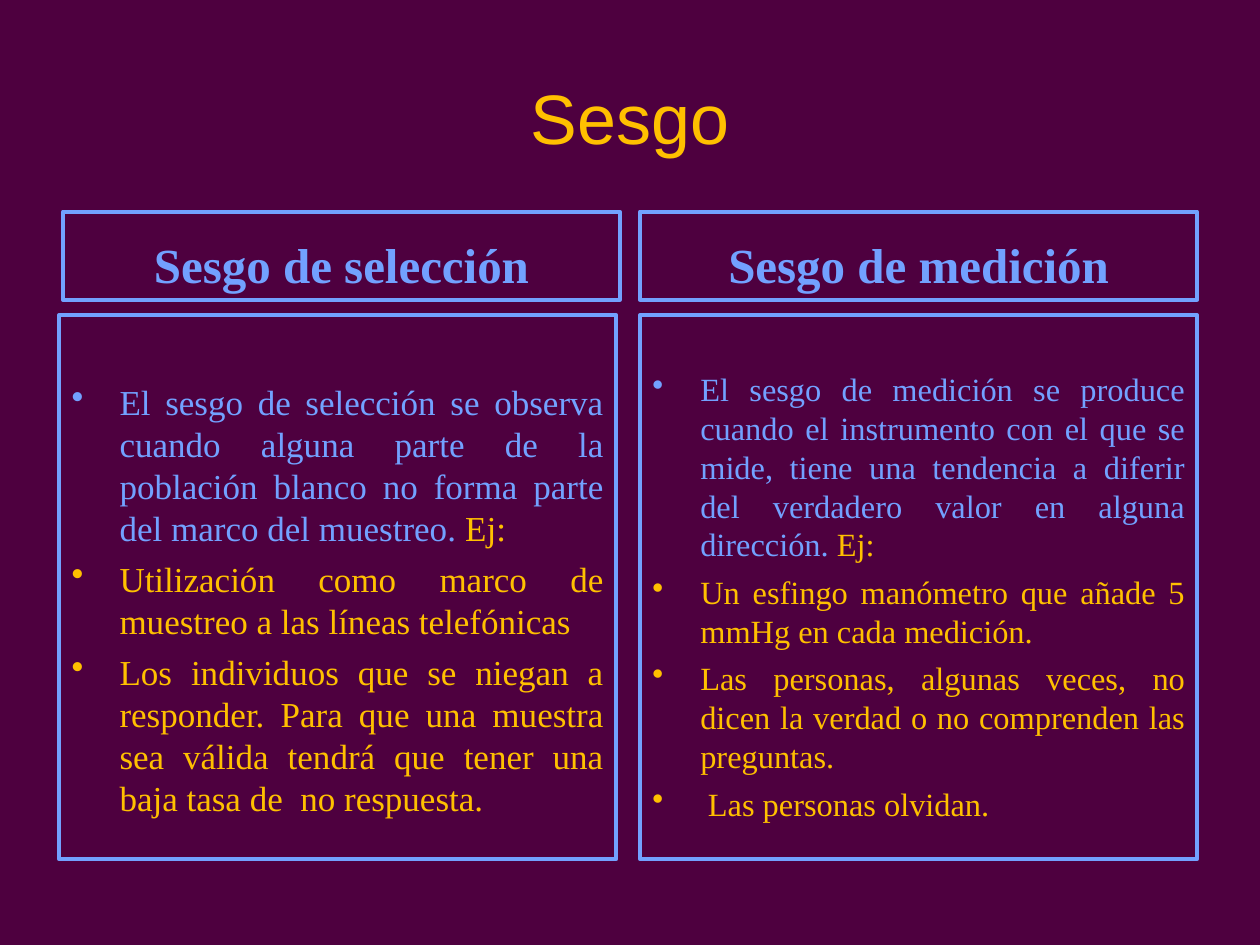
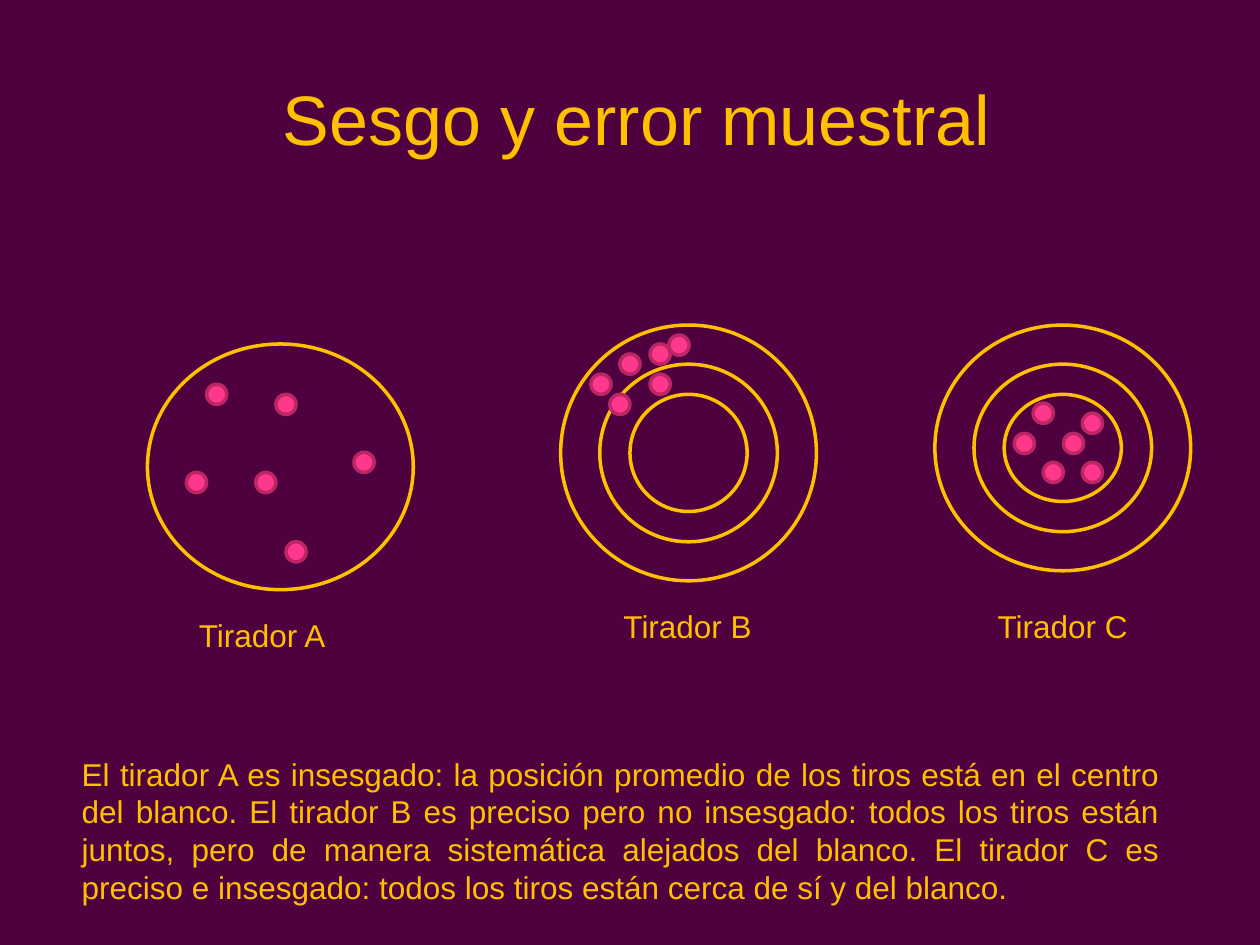
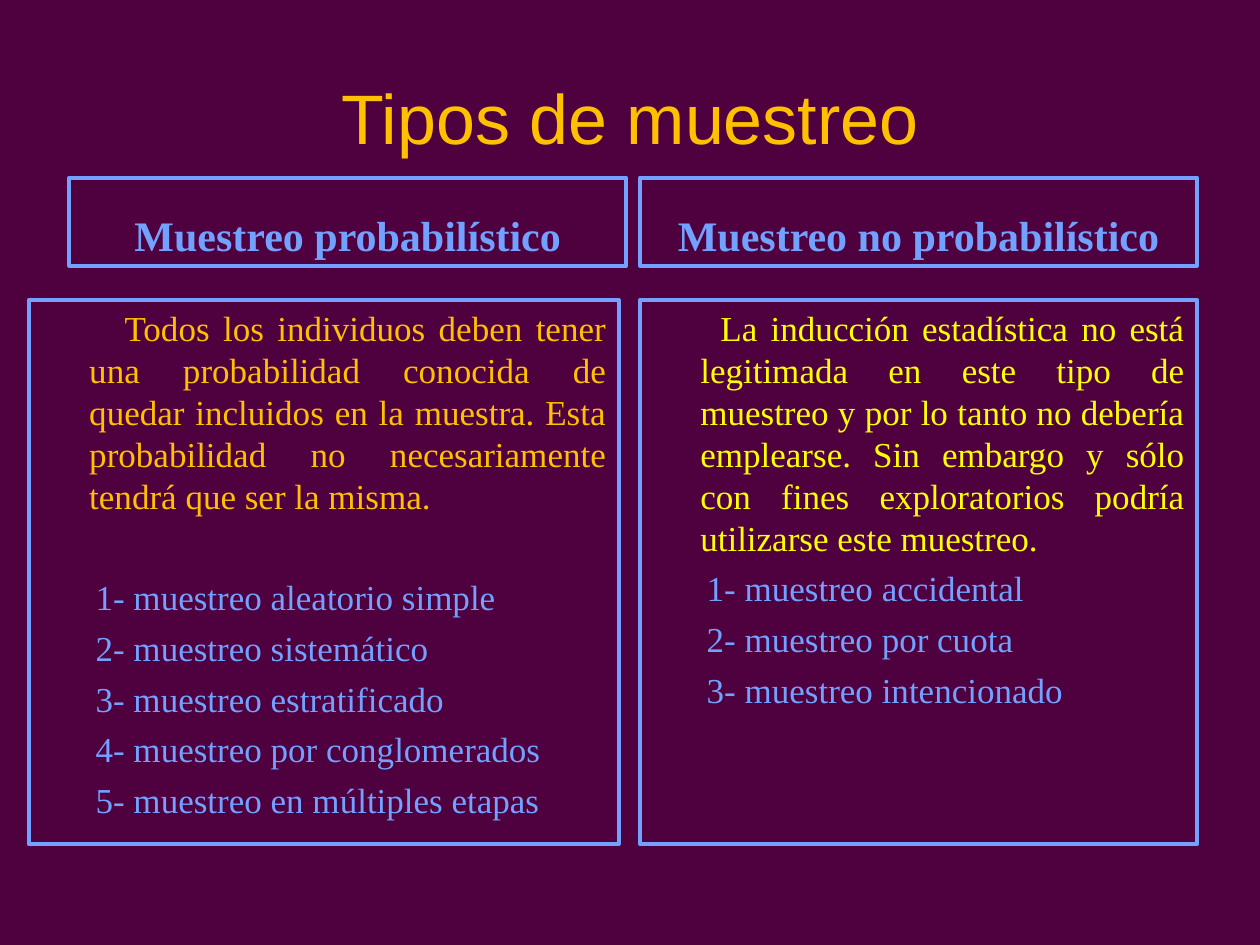
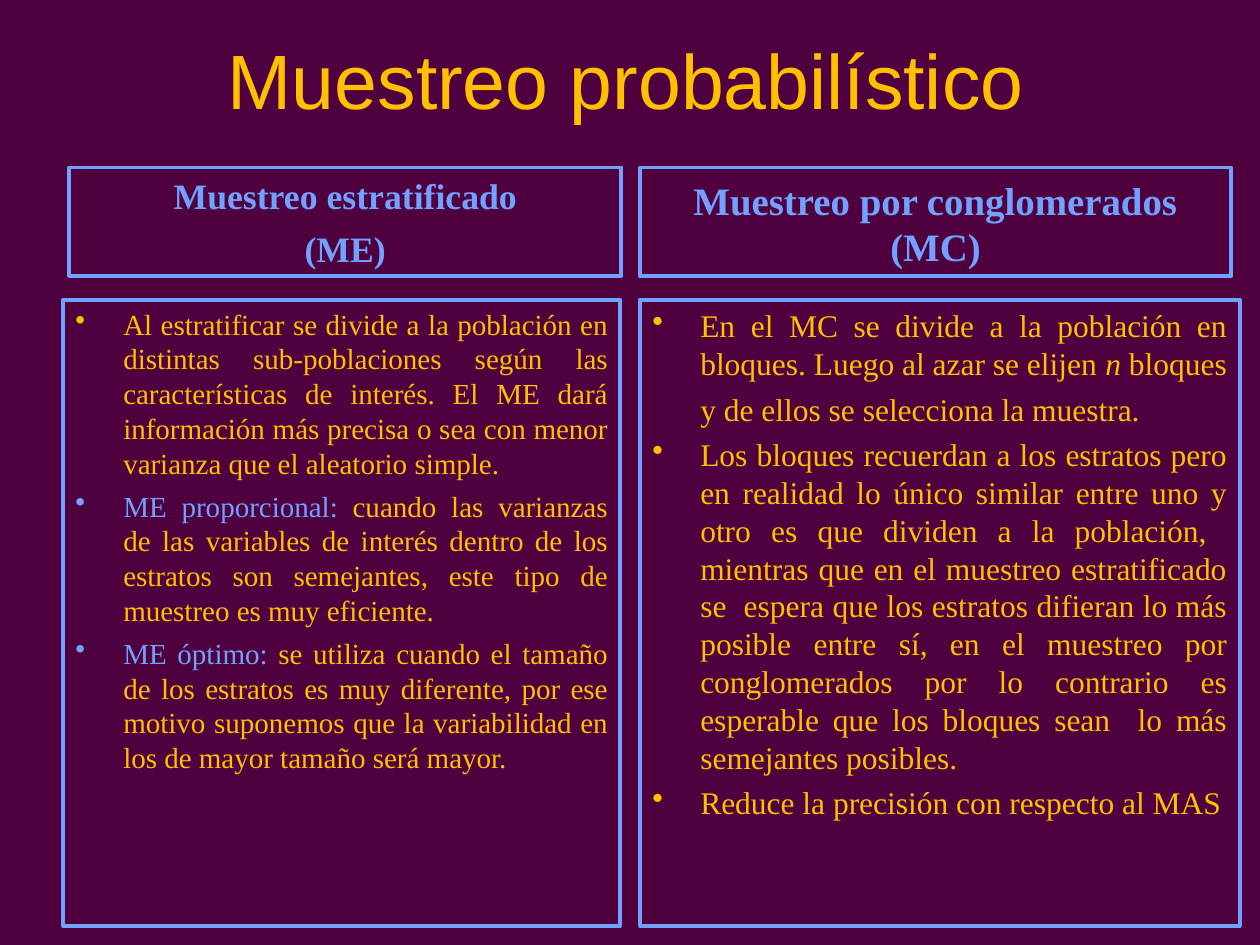
from lxml import etree
from pptx import Presentation
from pptx import util as u
from pptx.dml.color import RGBColor
from pptx.enum import shapes, text
from pptx.oxml import ns

COLORS = {
    "background": "4E003F",
    "gold": "FFC000",
    "blue": "72A1FF",
    "yellow": "FFFF00",
    "shot": "FF388C",
    "shot_edge": "BC2665",
}
SANS, SERIF = "Arial", "Times New Roman"
LINE_HEIGHT = 1.2
HANGING = 0.38
SHOT_SIZE = 0.16
RING_INSETS = (0, 0.31, 0.55)
ALIGN = text.PP_ALIGN
ANCHOR = text.MSO_ANCHOR
FRAME_FORMAT = {
    "margin_left": u.Inches(0.1),
    "margin_right": u.Inches(0.1),
    "margin_top": u.Inches(0.05),
    "margin_bottom": u.Inches(0.05),
    "word_wrap": True,
    "vertical_anchor": ANCHOR.TOP,
}


def color(name):
    return RGBColor.from_string(COLORS[name])


def apply_format(target, values):
    for name, value in values.items():
        setattr(target, name, value)


def inches(box):
    return [u.Inches(length) for length in box]


def item(*runs, bullet=None, margin=HANGING, indent=0.0, before=5):
    """Describe a paragraph; each run is (text, colour) or (text, colour, italic)."""
    return {"runs": runs, "bullet": bullet, "margin": margin,
            "indent": indent, "before": before}


def bulleted(*runs, margin=HANGING, before=5):
    return item(*runs, bullet=runs[0][1], margin=margin, indent=-margin, before=before)


def plain(words, name="gold", before=0):
    return item((words, name), margin=0, before=before)


def add_bullet(properties, name):
    bullet_color = etree.SubElement(properties, ns.qn("a:buClr"))
    etree.SubElement(bullet_color, ns.qn("a:srgbClr")).set("val", COLORS[name])
    etree.SubElement(properties, ns.qn("a:buChar")).set("char", "•")


def write(frame, items, size, font=SERIF, align=ALIGN.JUSTIFY, bold=False, **frame_format):
    apply_format(frame, {**FRAME_FORMAT, **frame_format})
    for index, entry in enumerate(items):
        paragraph = frame.add_paragraph() if index else frame.paragraphs[0]
        properties = paragraph._p.get_or_add_pPr()
        properties.set("marL", str(u.Inches(entry["margin"])))
        properties.set("indent", str(u.Inches(entry["indent"])))
        if entry["bullet"]:
            add_bullet(properties, entry["bullet"])
        apply_format(paragraph, {
            "alignment": align,
            "line_spacing": u.Pt(round(size * LINE_HEIGHT, 1)),
            "space_before": u.Pt(entry["before"] if index else 0),
        })
        for words, name, *italic in entry["runs"]:
            run = paragraph.add_run()
            run.text = words
            apply_format(run.font, {"name": font, "size": u.Pt(size),
                                    "bold": bold, "italic": bool(italic)})
            run.font.color.rgb = color(name)


def add_outline(slide, kind, box, line, width, fill=None):
    shape = slide.shapes.add_shape(kind, *inches(box))
    shape.shadow.inherit = False
    if fill:
        shape.fill.solid()
        shape.fill.fore_color.rgb = color(fill)
    else:
        shape.fill.background()
    shape.line.color.rgb = color(line)
    shape.line.width = u.Pt(width)
    return shape


def add_text(slide, box, items, size, **options):
    frame = slide.shapes.add_textbox(*inches(box)).text_frame
    write(frame, items, size, **options)


def add_slide(presentation, title, box=(0.5, 0.3, 9, 1.25), size=40):
    slide = presentation.slides.add_slide(presentation.slide_layouts[6])
    slide.background.fill.solid()
    slide.background.fill.fore_color.rgb = color("background")
    add_text(slide, box, [plain(title)], size, font=SANS, align=ALIGN.CENTER,
             vertical_anchor=ANCHOR.MIDDLE)
    return slide


def add_panel(slide, box, items, size, **options):
    panel = add_outline(slide, shapes.MSO_SHAPE.RECTANGLE, box, "blue", 2.25)
    write(panel.text_frame, items, size, **options)


def add_heading(slide, box, lines, size):
    add_panel(slide, box, [plain(line, "blue", 6) for line in lines], size,
              align=ALIGN.CENTER, bold=True, vertical_anchor=ANCHOR.BOTTOM)


def add_target(slide, box, insets, shots, name, label_offset):
    """Draw rings, shots and name; all offsets are from the target's corner."""
    left, top, width, height = box
    oval = shapes.MSO_SHAPE.OVAL
    for inset in insets:
        ring = (left + inset, top + inset, width - 2 * inset, height - 2 * inset)
        add_outline(slide, oval, ring, "gold", 2)
    for x, y in shots:
        add_outline(slide, oval, (left + x, top + y, SHOT_SIZE, SHOT_SIZE),
                    "shot_edge", 2, fill="shot")
    x, y = label_offset
    add_text(slide, (left + x, top + y, 1.23, 0.4), [plain(name)], 18,
             font=SANS, align=ALIGN.LEFT, word_wrap=False)


def build_bias(presentation):
    slide = add_slide(presentation, "Sesgo")
    add_heading(slide, (0.5, 1.68, 4.42, 0.7), ["Sesgo de selección"], 28)
    add_panel(slide, (0.47, 2.5, 4.42, 4.32), [
        bulleted(("El sesgo de selección se observa cuando alguna parte de la población "
                  "blanco no forma parte del marco del muestreo. ", "blue"),
                 ("Ej:", "gold")),
        bulleted(("Utilización como marco de muestreo a las líneas telefónicas", "gold")),
        bulleted(("Los individuos que se niegan a responder. Para que una muestra sea "
                  "válida tendrá que tener una baja tasa de  no respuesta.", "gold")),
    ], 20, margin_top=u.Inches(0.52))
    add_heading(slide, (5.08, 1.68, 4.42, 0.7), ["Sesgo de medición"], 28)
    add_panel(slide, (5.08, 2.5, 4.42, 4.32), [
        bulleted(("El sesgo de medición se produce cuando el instrumento con el que se "
                  "mide, tiene una tendencia a diferir del verdadero valor en alguna "
                  "dirección. ", "blue"),
                 ("Ej:", "gold")),
        bulleted(("Un esfingo manómetro que añade 5 mmHg en cada medición.", "gold")),
        bulleted(("Las personas, algunas veces, no dicen la verdad o no comprenden las "
                  "preguntas.", "gold")),
        bulleted(("Las personas olvidan.", "gold"), margin=0.44),
    ], 18.5, margin_top=u.Inches(0.43))


def build_shooters(presentation):
    slide = add_slide(presentation, "Sesgo y error muestral", (0.55, 0.31, 9, 1.25))
    add_target(slide, (1.17, 2.73, 2.11, 1.95), RING_INSETS[:1],
               [(0.47, 0.32), (1.02, 0.4), (0.86, 1.02), (0.31, 1.02), (1.64, 0.86),
                (1.1, 1.57)],
               "Tirador A", (0.31, 2.11))
    add_target(slide, (4.45, 2.58, 2.03, 2.03), RING_INSETS,
               [(0.47, 0.23), (0.86, 0.08), (0.39, 0.55), (0.71, 0.39), (0.24, 0.39),
                (0.71, 0.15)],
               "Tirador B", (0.4, 2.19))
    add_target(slide, (7.42, 2.58, 2.03, 1.95), RING_INSETS,
               [(0.78, 0.62), (1.17, 0.7), (1.02, 0.86), (0.63, 0.86), (0.86, 1.09),
                (1.17, 1.09)],
               "Tirador C", (0.4, 2.19))
    add_text(slide, (0.55, 5.94, 8.75, 1.3), [plain(
        "El tirador A es insesgado: la posición promedio de los tiros está en el centro "
        "del blanco. El tirador B es preciso pero no insesgado: todos los tiros están "
        "juntos, pero de manera sistemática alejados del blanco. El tirador C es preciso "
        "e insesgado: todos los tiros están cerca de sí y del blanco.")], 18, font=SANS)


def numbered(names, first_before=5):
    return [item((f"{number}- {name}", "blue"), indent=0.05,
                 before=first_before if number == 1 else 5)
            for number, name in enumerate(names, 1)]


def build_sampling_types(presentation):
    slide = add_slide(presentation, "Tipos de muestreo")
    add_heading(slide, (0.55, 1.41, 4.42, 0.7), ["Muestreo probabilístico"], 24)
    add_panel(slide, (0.23, 2.38, 4.68, 4.32), [
        item(("Todos los individuos deben tener una probabilidad conocida de quedar "
              "incluidos en la muestra. Esta probabilidad no necesariamente tendrá que "
              "ser la misma.", "gold"), indent=0.28),
        *numbered(["muestreo aleatorio simple", "muestreo sistemático",
                   "muestreo estratificado", "muestreo por conglomerados",
                   "muestreo en múltiples etapas"], first_before=34),
    ], 20)
    add_heading(slide, (5.08, 1.41, 4.42, 0.7), ["Muestreo no probabilístico"], 24)
    add_panel(slide, (5.08, 2.38, 4.42, 4.32), [
        item(("La inducción estadística no está legitimada en este tipo de muestreo y "
              "por lo tanto no debería emplearse. Sin embargo y sólo con fines "
              "exploratorios podría utilizarse este muestreo.", "yellow"), indent=0.16),
        *numbered(["muestreo accidental", "muestreo por cuota",
                   "muestreo intencionado"]),
    ], 20)


def build_probability_sampling(presentation):
    slide = add_slide(presentation, "Muestreo probabilístico", (0.47, 0, 9, 1.25), 44)
    add_heading(slide, (0.55, 1.33, 4.38, 0.86), ["Muestreo estratificado", "(ME)"], 20.4)
    add_panel(slide, (0.5, 2.38, 4.42, 4.97), [
        bulleted(("Al estratificar se divide a la población en distintas sub-poblaciones "
                  "según las características de interés. El ME dará información más "
                  "precisa o sea con menor varianza que el aleatorio simple.", "gold")),
        bulleted(("ME proporcional: ", "blue"),
                 ("cuando las varianzas de las variables de interés dentro de los "
                  "estratos son semejantes, este tipo de muestreo es muy eficiente.",
                  "gold"), before=4.5),
        bulleted(("ME óptimo: ", "blue"),
                 ("se utiliza cuando el tamaño de los estratos es muy diferente, por ese "
                  "motivo suponemos que la variabilidad en los de mayor tamaño será "
                  "mayor.", "gold"), before=4.5),
    ], 16.6)
    add_heading(slide, (5.08, 1.33, 4.69, 0.86), ["Muestreo por conglomerados (MC)"], 22.2)
    add_panel(slide, (5.08, 2.38, 4.76, 4.97), [
        bulleted(("En el MC se divide a la población en bloques. Luego al azar se elijen ",
                  "gold"), ("n", "gold", True), (" bloques", "gold")),
        item(("y de ellos se selecciona la muestra.", "gold"), before=4.5),
        bulleted(("Los bloques recuerdan a los estratos pero en realidad lo único similar "
                  "entre uno y otro es que dividen a la población,  mientras que en el "
                  "muestreo estratificado se  espera que los estratos difieran lo más "
                  "posible entre sí, en el muestreo por conglomerados por lo contrario es "
                  "esperable que los bloques sean  lo más semejantes posibles.", "gold"),
                 before=4.5),
        bulleted(("Reduce la precisión con respecto al MAS", "gold"), before=4.5),
    ], 18)


def main():
    presentation = Presentation()
    apply_format(presentation, {"slide_width": u.Inches(10),
                                "slide_height": u.Inches(7.5)})
    for build in (build_bias, build_shooters, build_sampling_types,
                  build_probability_sampling):
        build(presentation)
    presentation.save("out.pptx")


if __name__ == "__main__":
    main()
